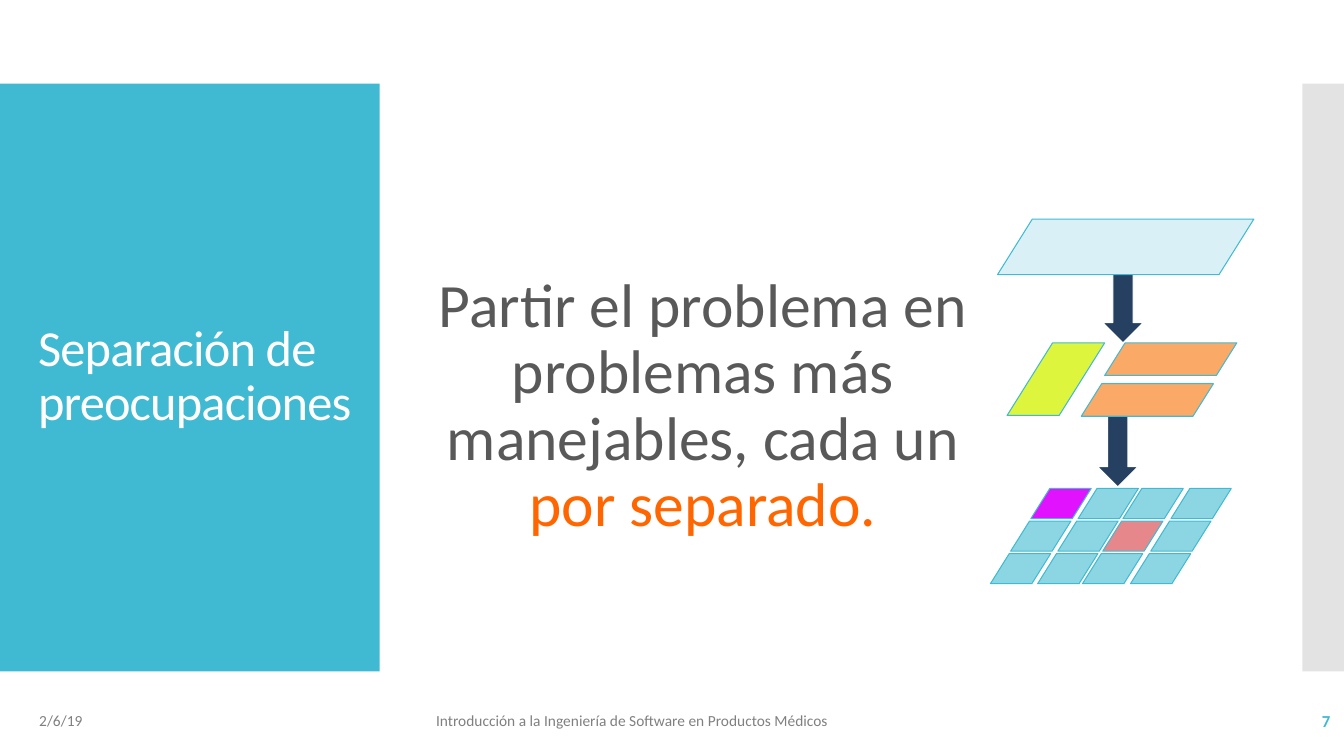
import pptx
import pptx.dml.color
import pptx.enum.shapes
import pptx.enum.text
import pptx.oxml
import pptx.oxml.ns
import pptx.util

Cm = pptx.util.Cm
Pt = pptx.util.Pt
RGBColor = pptx.dml.color.RGBColor
MSO_SHAPE = pptx.enum.shapes.MSO_SHAPE
PP_ALIGN = pptx.enum.text.PP_ALIGN

TEAL = RGBColor(0x40, 0xBA, 0xD2)
LIGHT_TEAL = RGBColor(0x8C, 0xD6, 0xE4)
PALE_TEAL = RGBColor(0xD9, 0xF1, 0xF6)
SILVER = RGBColor(0xC8, 0xC8, 0xC8)
GRAY = RGBColor(0x80, 0x80, 0x80)
DARK_GRAY = RGBColor(0x59, 0x59, 0x59)
WHITE = RGBColor(0xFF, 0xFF, 0xFF)
ORANGE = RGBColor(0xFF, 0x66, 0x00)
PEACH = RGBColor(0xFA, 0xA9, 0x66)
LIME = RGBColor(0xDD, 0xF5, 0x3D)
MAGENTA = RGBColor(0xE1, 0x13, 0xFF)
ROSE = RGBColor(0xE6, 0x88, 0x8B)
NAVY = RGBColor(0x25, 0x40, 0x61)


def add_shape(s, kind, left, top, width, height, fill, line=None):
    sp = s.shapes.add_shape(kind, Cm(left), Cm(top), Cm(width), Cm(height))
    sp.shadow.inherit = False
    sp.fill.solid()
    sp.fill.fore_color.rgb = fill
    if line is None:
        sp.line.fill.background()
    else:
        sp.line.color.rgb = line
        sp.line.width = Pt(0.75)
    return sp


def add_tile(s, left, top, width, height, fill):
    sp = add_shape(s, MSO_SHAPE.PARALLELOGRAM, left, top, width, height, fill, TEAL)
    sp.adjustments[0] = 0.627


def add_arrow(s, left, top):
    add_shape(s, MSO_SHAPE.DOWN_ARROW, left, top, 1.02, 2, NAVY, WHITE)


def add_text(s, left, top, width, height, parts, size,
             align=PP_ALIGN.LEFT, spacing=1.0, bold=False):
    tf = s.shapes.add_textbox(Cm(left), Cm(top), Cm(width), Cm(height)).text_frame
    tf.word_wrap = True
    tf.vertical_anchor = pptx.enum.text.MSO_ANCHOR.MIDDLE
    p = tf.paragraphs[0]
    p.alignment = align
    p.line_spacing = spacing
    for text, color in parts:
        r = p.add_run()
        r.text = text
        r.font.name = "Calibri"
        r.font.size = Pt(size)
        r.font.bold = bold
        r.font.color.rgb = color
    return p


def add_panels(s):
    add_shape(s, MSO_SHAPE.RECTANGLE, 0, 2.11, 9.57, 14.81, TEAL)
    side = add_shape(s, MSO_SHAPE.RECTANGLE, 32.82, 2.11, 1.05, 14.81, SILVER)
    color = side.fill._xPr.find(".//" + pptx.oxml.ns.qn("a:srgbClr"))
    color.append(pptx.oxml.parse_xml(
        '<a:alpha %s val="50000"/>' % pptx.oxml.ns.nsdecls("a")))


def add_grid(s):
    accents = {(0, 0): MAGENTA, (2, 1): ROSE}
    for col, left in enumerate((25.98, 27.17, 28.3, 29.51)):
        for row in range(3):
            fill = accents.get((col, row), LIGHT_TEAL)
            add_tile(s, left - 0.51 * row, 12.31 + 0.82 * row, 1.52, 0.76, fill)


def add_diagram(s):
    add_tile(s, 25.38, 8.64, 2.46, 1.83, LIME)
    add_tile(s, 27.84, 8.64, 3.33, 0.82, PEACH)
    add_grid(s)
    add_arrow(s, 27.79, 6.64)
    add_tile(s, 25.14, 5.52, 6.46, 1.4, PALE_TEAL)
    add_arrow(s, 27.66, 10.27)
    add_tile(s, 27.25, 9.67, 3.33, 0.82, PEACH)


def main():
    prs = pptx.Presentation()
    prs.slide_width = Cm(33.87)
    prs.slide_height = Cm(19.05)
    s = prs.slides.add_slide(prs.slide_layouts[6])
    add_panels(s)
    add_text(s, 10.67, 5.94, 14.1, 8.64,
             [("Partir el problema en problemas más manejables, cada un ", DARK_GRAY),
              ("por separado.", ORANGE)], 44, PP_ALIGN.CENTER, 0.9)
    add_text(s, 0.74, 17.65, 7.62, 1.02, [("2/6/19", GRAY)], 11)
    add_text(s, 10.74, 17.65, 16.41, 1.02,
             [("Introducción a la Ingeniería de Software en Productos Médicos", GRAY)], 11)
    add_text(s, 29.54, 17.65, 4.24, 1.02, [("7", TEAL)], 12, PP_ALIGN.RIGHT, bold=True)
    p = add_text(s, 0.71, 3.12, 8.66, 12.78,
                 [("Separación de preocupaciones", WHITE)], 36, spacing=0.9)
    p.runs[0].font._element.set("spc", "-60")
    add_diagram(s)
    prs.save("out.pptx")


if __name__ == "__main__":
    main()
